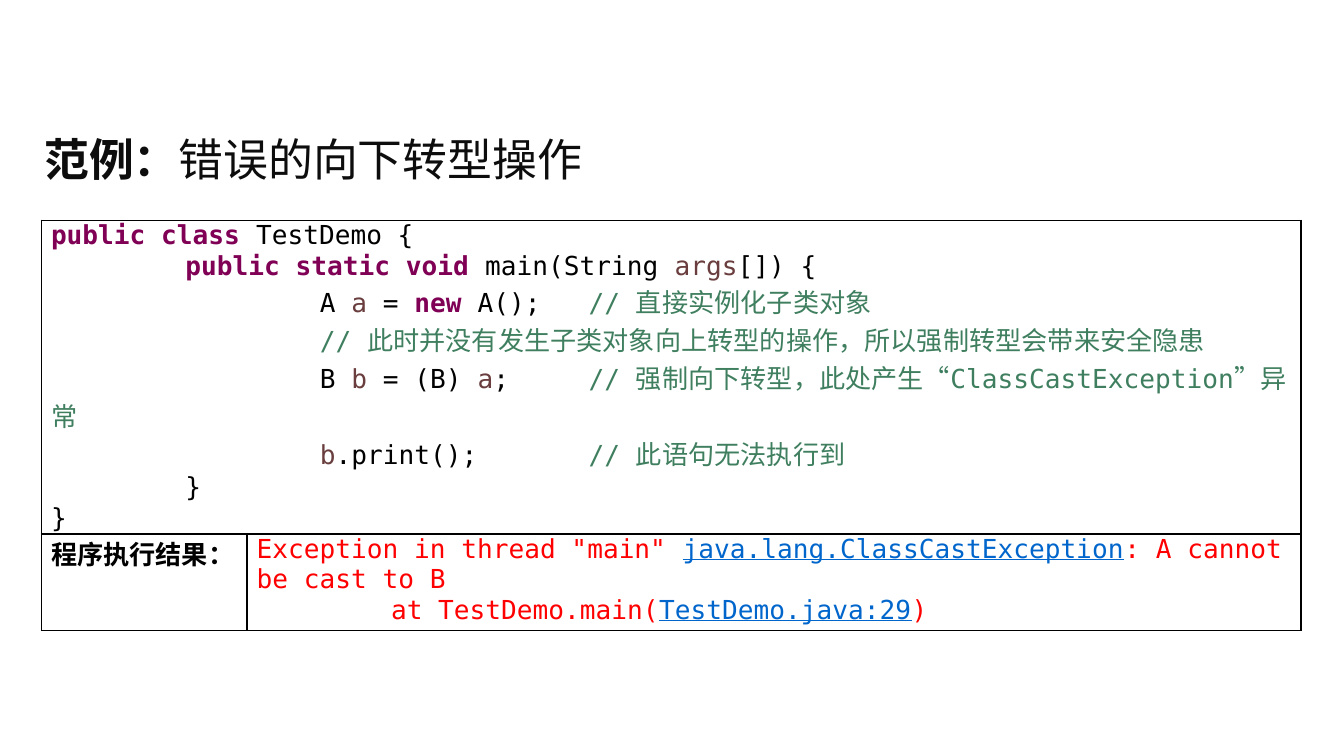
"""Build a slide showing a faulty downcast in Java and its output."""
from typing import NamedTuple

from lxml import etree
from pptx import Presentation
from pptx import util as u
from pptx.dml.color import RGBColor
from pptx.enum import text
from pptx.oxml.ns import qn

COLORS = {
    "title": "0D0D0D", "plain": "000000", "keyword": "7F0055",
    "variable": "6A3E3E", "comment": "3F7F5F", "error": "FF0000",
    "link": "0066CC", "paper": "FFFFFF",
}
MONO, CJK, SERIF = "DejaVu Sans Mono", "Noto Sans CJK SC", "Times New Roman"
LEFT, JUSTIFY = text.PP_ALIGN.LEFT, text.PP_ALIGN.JUSTIFY


class Span(NamedTuple):
    text: str
    color: str = "plain"
    bold: bool = False
    underline: bool = False


class Line(NamedTuple):
    spans: list[Span]
    align: text.PP_ALIGN = LEFT


def keyword(words: str) -> Span:
    return Span(words, "keyword", bold=True)


def variable(name: str) -> Span:
    return Span(name, "variable")


def comment(words: str) -> Span:
    return Span("// " + words, "comment")


def error(words: str) -> Span:
    return Span(words, "error")


def link(words: str) -> Span:
    return Span(words, "link", underline=True)


TITLE = [Line([Span("范例：", "title", bold=True), Span("错误的向下转型操作", "title")])]
CODE = [
    Line([keyword("public class"), Span(" TestDemo {")]),
    Line([Span("\t"), keyword("public static void"), Span(" main(String "),
          variable("args"), Span("[]) {")]),
    Line([Span("\t\tA "), variable("a"), Span(" = "), keyword("new"),
          Span(" A();\t"), comment("直接实例化子类对象")]),
    Line([Span("\t\t"),
          comment("此时并没有发生子类对象向上转型的操作，所以强制转型会带来安全隐患")]),
    Line([Span("\t\tB "), variable("b"), Span(" = (B) "), variable("a"),
          Span(";\t"), comment("强制向下转型，此处产生“ClassCastException”异常")]),
    Line([Span("\t\t"), variable("b"), Span(".print();\t"),
          comment("此语句无法执行到")]),
    Line([Span("\t}")]),
    Line([Span("}")], JUSTIFY),
]
RESULT_LABEL = [Line([Span("程序执行结果：", bold=True)], JUSTIFY)]
RESULT = [
    Line([error('Exception in thread "main" '), link("java.lang.ClassCastException"),
          error(": A cannot be cast to B")]),
    Line([error("\tat TestDemo.main("), link("TestDemo.java:29"), error(")")]),
]


def add_tab_stops(p) -> None:
    stops = etree.SubElement(p._p.get_or_add_pPr(), qn("a:tabLst"))
    for inch in range(1, 5):
        etree.SubElement(stops, qn("a:tab"), pos=str(u.Inches(inch)), algn="l")


def write(tf, lines: list[Line], font: str, size: float) -> None:
    for i, line in enumerate(lines):
        p = tf.paragraphs[0] if i == 0 else tf.add_paragraph()
        p.alignment = line.align
        if any("\t" in span.text for span in line.spans):
            add_tab_stops(p)
        for span in line.spans:
            r = p.add_run()
            r.text = span.text
            style = {"name": font, "size": u.Pt(size), "bold": span.bold,
                     "underline": span.underline}
            for key, value in style.items():
                setattr(r.font, key, value)
            r.font.color.rgb = RGBColor.from_string(COLORS[span.color])
            ea = etree.SubElement(r.font._element, qn("a:ea"))
            ea.set("typeface", CJK)


def format_cell(cell) -> None:
    margins = {"margin_left": 0.07, "margin_top": 0,
               "margin_right": 0.07, "margin_bottom": 0}
    for key, value in margins.items():
        setattr(cell, key, u.Inches(value))
    tcPr = cell._tc.get_or_add_tcPr()
    for side in ("lnL", "lnR", "lnT", "lnB"):
        ln = etree.SubElement(tcPr, qn(f"a:{side}"), w=str(u.Pt(1)))
        fill = etree.SubElement(ln, qn("a:solidFill"))
        etree.SubElement(fill, qn("a:srgbClr"), val=COLORS["plain"])
    cell.fill.solid()
    cell.fill.fore_color.rgb = RGBColor.from_string(COLORS["paper"])


def add_title(s) -> None:
    sp = s.shapes.title
    box = {"left": 0.23, "top": 0.86, "width": 9.53, "height": 0.64}
    for key, value in box.items():
        setattr(sp, key, u.Inches(value))
    tf = sp.text_frame
    frame = {"word_wrap": True, "auto_size": text.MSO_AUTO_SIZE.NONE,
             "vertical_anchor": text.MSO_ANCHOR.MIDDLE}
    for key, value in frame.items():
        setattr(tf, key, value)
    write(tf, TITLE, CJK, 24)


def add_listing(s) -> None:
    widths, heights = (1.53, 7.84), (2.17, 0.72)
    table = s.shapes.add_table(2, 2, u.Inches(0.31), u.Inches(1.64),
                               u.Inches(sum(widths)), u.Inches(sum(heights))).table
    table.first_row = table.horz_banding = False
    for column, width in zip(table.columns, widths):
        column.width = u.Inches(width)
    for row, height in zip(table.rows, heights):
        row.height = u.Inches(height)
    for cell in table.iter_cells():
        format_cell(cell)
    table.cell(0, 0).merge(table.cell(0, 1))
    write(table.cell(0, 0).text_frame, CODE, MONO, 14)
    write(table.cell(1, 0).text_frame, RESULT_LABEL, SERIF, 14)
    write(table.cell(1, 1).text_frame, RESULT, MONO, 14)


def main() -> None:
    prs = Presentation()
    prs.slide_width = u.Inches(10)
    prs.slide_height = u.Inches(10 * 9 / 16)
    s = prs.slides.add_slide(prs.slide_layouts[5])
    add_title(s)
    add_listing(s)
    prs.save("out.pptx")


if __name__ == "__main__":
    main()
